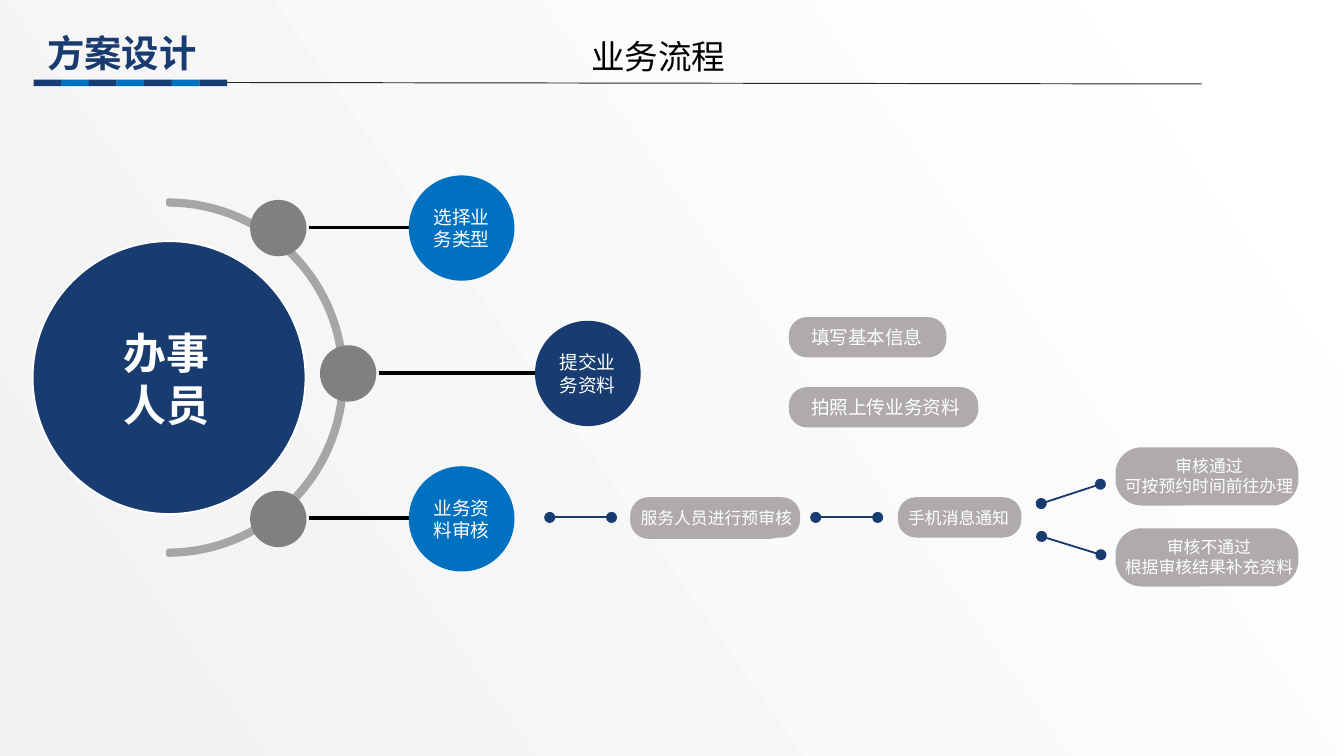
from math import cos, pi, sin

from lxml.etree import SubElement
from pptx import Presentation
from pptx.dml.color import RGBColor
from pptx.enum.shapes import MSO_CONNECTOR, MSO_SHAPE
from pptx.enum.text import MSO_ANCHOR, MSO_AUTO_SIZE, PP_ALIGN
from pptx.oxml.ns import qn
from pptx.util import Pt

NAVY = RGBColor(0x18, 0x3C, 0x70)
BLUE = RGBColor(0x00, 0x70, 0xC0)
DOT_GRAY = RGBColor(0x80, 0x80, 0x80)
ARC_GRAY = RGBColor(0xA6, 0xA6, 0xA6)
PILL_GRAY = RGBColor(0xAF, 0xAB, 0xAB)
RULE_GRAY = RGBColor(0x26, 0x26, 0x26)
PALE = RGBColor(0xF2, 0xF2, 0xF2)
WHITE = RGBColor(0xFF, 0xFF, 0xFF)
BLACK = RGBColor(0x00, 0x00, 0x00)
FONT = "Noto Sans CJK SC"

deck = Presentation()
deck.slide_width, deck.slide_height = Pt(720), Pt(405)
page = deck.slides.add_slide(deck.slide_layouts[5])
shapes = page.shapes


def write(box, lines, size, color=WHITE, align=PP_ALIGN.LEFT, bold=False, inset=5.5):
    frame = box.text_frame
    frame.text = lines
    frame_format = {
        "word_wrap": True, "auto_size": MSO_AUTO_SIZE.NONE,
        "vertical_anchor": MSO_ANCHOR.MIDDLE,
        "margin_left": Pt(inset), "margin_right": Pt(inset),
        "margin_top": Pt(3), "margin_bottom": Pt(3),
    }
    for name, value in frame_format.items():
        setattr(frame, name, value)
    for para in frame.paragraphs:
        para.alignment = align
        para.line_spacing = Pt(size * 1.2)
        for span in para.runs:
            span.font.color.rgb = color
            for name, value in {"size": Pt(size), "bold": bold, "name": FONT}.items():
                setattr(span.font, name, value)
            SubElement(span._r.get_or_add_rPr(), qn("a:ea"), typeface=FONT)


def connect(start, end, color, width, dotted=False):
    link = shapes.add_connector(MSO_CONNECTOR.STRAIGHT, *map(Pt, start + end))
    link.line.color.rgb = color
    link.line.width = Pt(width)
    if dotted:
        for tag in ("a:headEnd", "a:tailEnd"):
            SubElement(link.line._get_or_add_ln(), qn(tag), type="oval")
    SubElement(link._element.spPr, qn("a:effectLst"))


# Background gradient
backdrop = page.background.fill
backdrop.gradient()
backdrop.gradient_angle = 35
for stop, color in zip(backdrop.gradient_stops, (PALE, WHITE)):
    stop.color.rgb = color

# Header
title = shapes.title
title_place = {"left": 18, "top": 12.2, "width": 103.7, "height": 31.7}
for name, value in title_place.items():
    setattr(title, name, Pt(value))
write(title, "方案设计", 20, NAVY, PP_ALIGN.JUSTIFY, True, 7.2)
subtitle = shapes.add_textbox(Pt(309.6), Pt(15.8), Pt(93.6), Pt(28.8))
write(subtitle, "业务流程", 18, BLACK, PP_ALIGN.JUSTIFY, False, 7.2)
connect((121.7, 44.2), (643.7, 45), RULE_GRAY, 0.5)

# Solid shapes: kind, left, top, width, height, fill
solids = [
    (MSO_SHAPE.RECTANGLE, 18 + 14.8 * i, 42.6, 14.9, 3.6, (NAVY, BLUE)[i % 2])
    for i in range(7)
]
main_circle = (MSO_SHAPE.OVAL, 17.5, 129.2, 146.2, 146.2, NAVY)
solids.append(main_circle)

# Half ring around the main circle
center_x, center_y, steps = 90, 202.3, 60
outer, inner = 95, 92.6
angles = [pi * i / steps - pi / 2 for i in range(steps + 1)]
points = [(center_x + outer * cos(a), center_y + outer * sin(a)) for a in angles]
points += [(center_x + inner * cos(a), center_y + inner * sin(a)) for a in reversed(angles)]
points = [(Pt(x), Pt(y)) for x, y in points]
builder = shapes.build_freeform(*points[0])
builder.add_line_segments(points[1:], close=True)
ring = builder.convert_to_shape()
ring.shadow.inherit = False
ring.fill.solid()
ring.fill.fore_color.rgb = ARC_GRAY
ring.line.color.rgb = ARC_GRAY
ring.line.width = Pt(2)

# Branches: gray dot, line and labelled circle
labels = [("办事人员", 60.5, 172.1, 59, 61.2, 23, True, PP_ALIGN.LEFT)]
branches = [
    ("选择业务类型", 134, 219, 122.2, BLUE),
    ("提交业务资料", 171.4, 286.6, 200.1, NAVY),
    ("业务资料审核", 134, 219, 278, BLUE),
]
for text, dot_left, circle_left, middle, color in branches:
    connect((dot_left + 31.6, middle - 0.3), (circle_left + 2, middle - 0.3), BLACK, 2)
    solids.append((MSO_SHAPE.OVAL, dot_left, middle - 15.1, 30.2, 30.2, DOT_GRAY))
    solids.append((MSO_SHAPE.OVAL, circle_left, middle - 28.2, 56.6, 56.4, color))
    labels.append((text, circle_left + 7.8, middle - 14.8, 41.6, 29.6, 10, False, PP_ALIGN.LEFT))

# Pills: left, top, width, height
pills = [
    (422.6, 169.9, 84.4, 21.6), (422.6, 207.4, 101.5, 21.6),
    (337.7, 267.1, 84.4, 21.6), (337.7, 266.4, 91, 21.6),
    (481, 266.4, 66.2, 21.6), (597.6, 239.6, 98, 31.2), (597.6, 283, 98, 31.2),
]
solids += [(MSO_SHAPE.ROUNDED_RECTANGLE, *pill, PILL_GRAY) for pill in pills]

# Pill labels: text, left, top, width, height, size, bold, alignment
labels += [
    ("填写基本信息", 429, 172, 72, 17.3, 10, False, PP_ALIGN.LEFT),
    ("拍照上传业务资料", 429, 209.5, 95, 17.3, 10, False, PP_ALIGN.LEFT),
    ("服务人员进行预审核", 337.7, 269, 100, 16.6, 9, False, PP_ALIGN.LEFT),
    ("手机消息通知", 481, 269, 66.2, 16.6, 9, False, PP_ALIGN.LEFT),
    ("审核通过\n可按预约时间前往办理", 596.9, 241.2, 101.5, 27.4, 9, False, PP_ALIGN.CENTER),
    ("审核不通过\n根据审核结果补充资料", 596.9, 284.4, 101.5, 27.4, 9, False, PP_ALIGN.CENTER),
]

# Draw the solid shapes, then the labels on top
for solid in solids:
    kind, *place, color = solid
    shape = shapes.add_shape(kind, *map(Pt, place))
    shape.shadow.inherit = False
    shape.fill.solid()
    shape.fill.fore_color.rgb = color
    shape.line.fill.background()
    if kind == MSO_SHAPE.ROUNDED_RECTANGLE:
        shape.adjustments[0] = 0.45
    if solid is main_circle:
        shape.line.color.rgb = WHITE
        shape.line.width = Pt(1)

for text, left, top, width, height, size, bold, align in labels:
    box = shapes.add_textbox(Pt(left), Pt(top), Pt(width), Pt(height))
    write(box, text, size, WHITE, align, bold)

# Dotted links between the review steps
links = [
    ((294.5, 277.2), (327.6, 277.2)), ((437, 277.2), (470.2, 277.2)),
    ((557.8, 269.8), (589.5, 259.4)), ((558, 287.4), (589.8, 297.2)),
]
for start, end in links:
    connect(start, end, NAVY, 1, dotted=True)

deck.save("out.pptx")
